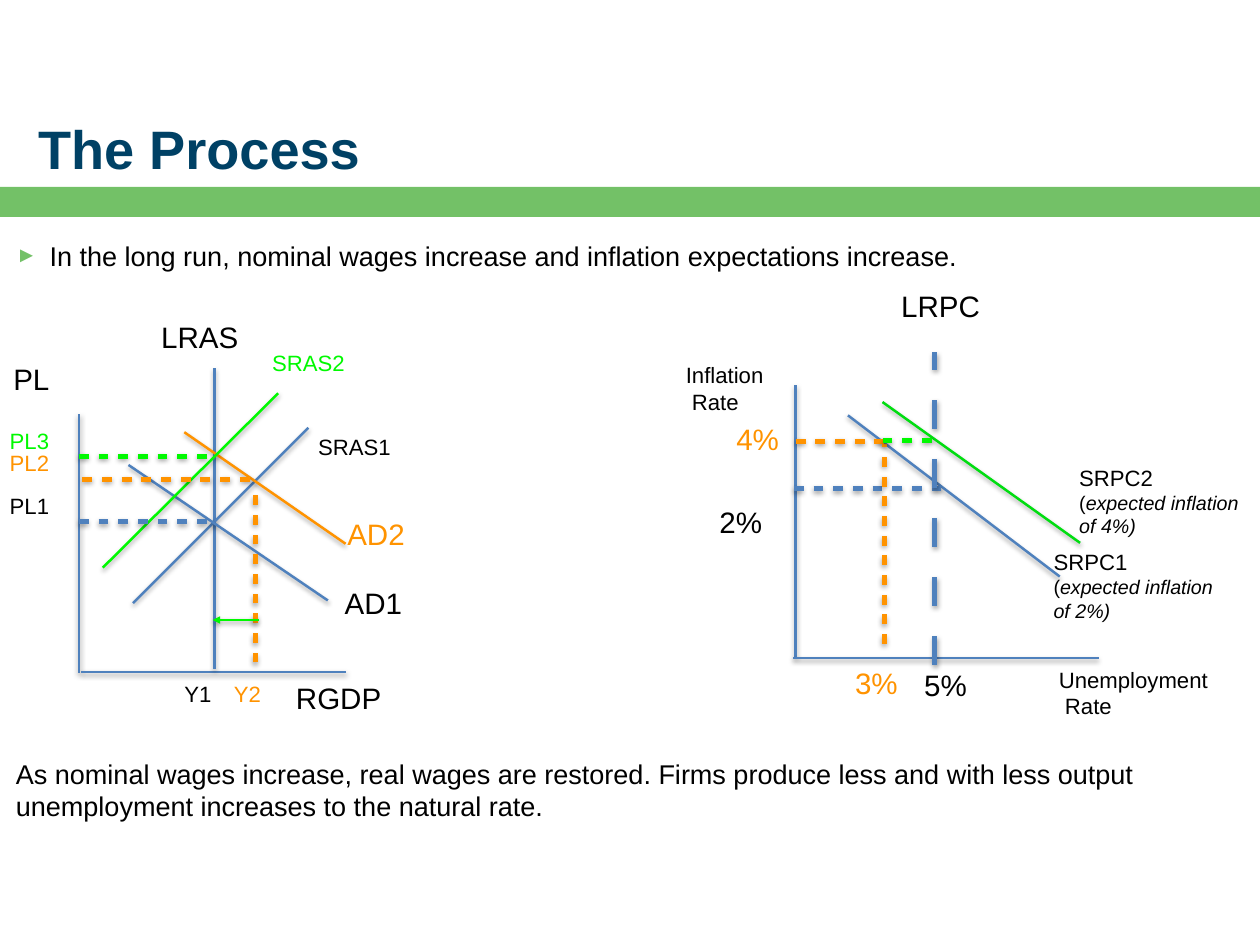
from lxml.etree import SubElement
from pptx import Presentation
from pptx.dml.color import RGBColor
from pptx.enum.shapes import MSO_CONNECTOR as CONN, MSO_SHAPE as SHAPE
from pptx.enum.text import MSO_ANCHOR as ANCHOR
from pptx.oxml.ns import qn
from pptx.util import Pt

PX = 9144
FONT = "Arial"
BLACK = RGBColor(0x00, 0x00, 0x00)
NAVY = RGBColor(0x00, 0x41, 0x65)
BAND_GREEN = RGBColor(0x73, 0xC1, 0x67)
BLUE = RGBColor(0x4F, 0x81, 0xBD)
ORANGE = RGBColor(0xFF, 0x93, 0x00)
GREEN = RGBColor(0x00, 0xF9, 0x00)
DEEP_GREEN = RGBColor(0x00, 0xDD, 0x10)
SHORT_DASH, LONG_DASH = 2, 6

AS_AD_CURVES = [
    (89, 760, 89, 468, BLUE),
    (92, 759, 391, 759, BLUE),
    (242, 755, 242, 416, BLUE),
    (150, 681, 348, 483, BLUE),
    (370, 678, 145, 525, BLUE),
    (390, 614, 208, 488, ORANGE),
    (116, 641, 314, 444, GREEN),
]
AS_AD_GUIDES = [
    (89, 589, 241, 589, BLUE),
    (288, 748, 288, 550, ORANGE),
    (93, 541, 290, 541, ORANGE),
    (89, 515, 241, 515, GREEN),
]
PHILLIPS_CURVES = [
    (898, 742, 898, 435, BLUE),
    (895, 743, 1240, 743, BLUE),
    (957, 469, 1196, 651, BLUE),
    (1219, 613, 996, 454, DEEP_GREEN),
]
PHILLIPS_GUIDES = [
    (896, 552, 1066, 552, BLUE),
    (898, 498, 999, 498, ORANGE),
    (998, 727, 998, 501, ORANGE),
    (996, 497, 1061, 497, GREEN),
]
LARGE_LABELS = [
    ("LRAS", 182, 360, 100, BLACK),
    ("AD1", 389, 660, 87, BLACK),
    ("AD2", 392, 583, 87, ORANGE),
    ("RGDP", 334, 768, 113, BLACK),
    ("PL", 15, 408, 55, BLACK),
    ("LRPC", 1017, 325, 100, BLACK),
    ("2%", 812, 569, 66, BLACK),
    ("4%", 831, 475, 66, ORANGE),
    ("3%", 965, 751, 66, ORANGE),
    ("5%", 1043, 753, 66, BLACK),
]
SMALL_LABELS = [
    ("SRAS2", 307, 394, 102, GREEN),
    ("SRAS1", 359, 489, 99, BLACK),
    ("PL3", 11, 482, 62, GREEN),
    ("PL2", 11, 507, 62, ORANGE),
    ("PL1", 11, 556, 62, BLACK),
    ("Y1", 208, 768, 48, BLACK),
    ("Y2", 264, 768, 48, ORANGE),
    ("Inflation\n Rate", 774, 408, 117, BLACK),
    ("Unemployment\n Rate", 1195, 752, 215, BLACK),
]


def format_run(r, size, color=BLACK, bold=False, italic=False):
    r.font.name = FONT
    r.font.size = Pt(size)
    r.font.color.rgb = color
    r.font.bold = bold
    r.font.italic = italic


def add_text(slide, text, x, y, w, h, size, color=BLACK, bold=False,
             anchor=ANCHOR.TOP):
    box = slide.shapes.add_textbox(x * PX, y * PX, w * PX, h * PX)
    tf = box.text_frame
    tf.word_wrap = True
    tf.vertical_anchor = anchor
    tf.margin_left = tf.margin_right = tf.margin_top = tf.margin_bottom = 0
    tf.text = text
    for p in tf.paragraphs:
        for r in p.runs:
            format_run(r, size, color, bold)
    return tf


def add_bullet(p, indent):
    pPr = p._p.get_or_add_pPr()
    pPr.set("marL", str(indent * PX))
    pPr.set("indent", str(-indent * PX))
    clr = SubElement(pPr, qn("a:buClr"))
    SubElement(clr, qn("a:srgbClr"), val=str(BAND_GREEN))
    SubElement(pPr, qn("a:buSzPct"), val="80000")
    SubElement(pPr, qn("a:buFont"), typeface=FONT)
    SubElement(pPr, qn("a:buChar"), char="►")


def add_curve_note(slide, curve, rate, x, y):
    tf = add_text(slide, curve, x, y, 212, 100, 18)
    for parts in ([("(", False), ("expected inflation", True)],
                  [(f"of {rate})", True)]):
        p = tf.add_paragraph()
        for text, italic in parts:
            r = p.add_run()
            r.text = text
            format_run(r, 16, italic=italic)


def add_soft_shadow(spPr):
    effects = SubElement(spPr, qn("a:effectLst"))
    shadow = SubElement(effects, qn("a:outerShdw"), blurRad=str(Pt(4)),
                        dist=str(Pt(2)), dir="5400000", rotWithShape="0")
    clr = SubElement(shadow, qn("a:srgbClr"), val=str(BLACK))
    SubElement(clr, qn("a:alpha"), val="35000")


def add_line(slide, x1, y1, x2, y2, color, dash=0, arrow=False):
    line = slide.shapes.add_connector(
        CONN.STRAIGHT, x1 * PX, y1 * PX, x2 * PX, y2 * PX)
    line.line.color.rgb = color
    line.line.width = Pt(4 if dash else 2)
    ln = line.line._get_or_add_ln()
    if dash:
        pattern = SubElement(ln, qn("a:custDash"))
        length = str(dash * 100000)
        SubElement(pattern, qn("a:ds"), d=length, sp=length)
    if arrow:
        SubElement(ln, qn("a:tailEnd"), type="triangle")
    add_soft_shadow(line._element.spPr)


def add_band(slide, x, y, w, h):
    sp = slide.shapes.add_shape(SHAPE.RECTANGLE, x * PX, y * PX, w * PX, h * PX)
    sp.shadow.inherit = False
    sp.fill.solid()
    sp.fill.fore_color.rgb = BAND_GREEN
    sp.line.fill.background()


def main():
    prs = Presentation()
    prs.slide_width, prs.slide_height = 1422 * PX, 1067 * PX
    slide = prs.slides.add_slide(prs.slide_layouts[6])

    add_band(slide, 0, 211, 1422, 34)
    add_text(slide, "The Process", 43, 14, 1273, 190, 44, NAVY, True,
             ANCHOR.BOTTOM)
    lead = add_text(slide, "In the long run, nominal wages increase and "
                    "inflation expectations increase.", 18, 270, 1386, 40, 22)
    add_bullet(lead.paragraphs[0], 38)
    add_text(slide, "As nominal wages increase, real wages are restored. "
             "Firms produce less and with less output unemployment increases "
             "to the natural rate.", 18, 855, 1386, 80, 22)

    for curve in AS_AD_CURVES + PHILLIPS_CURVES:
        add_line(slide, *curve)
    for guide in AS_AD_GUIDES + PHILLIPS_GUIDES:
        add_line(slide, *guide, dash=SHORT_DASH)
    add_line(slide, 1055, 751, 1055, 398, BLUE, dash=LONG_DASH)
    add_line(slide, 292, 700, 240, 700, GREEN, arrow=True)

    for labels, size, height in ((LARGE_LABELS, 24, 64), (SMALL_LABELS, 18, 52)):
        for text, x, y, w, color in labels:
            add_text(slide, text, x, y, w, height, size, color)
    add_curve_note(slide, "SRPC2", "4%", 1218, 524)
    add_curve_note(slide, "SRPC1", "2%", 1189, 619)

    prs.save("out.pptx")


if __name__ == "__main__":
    main()
